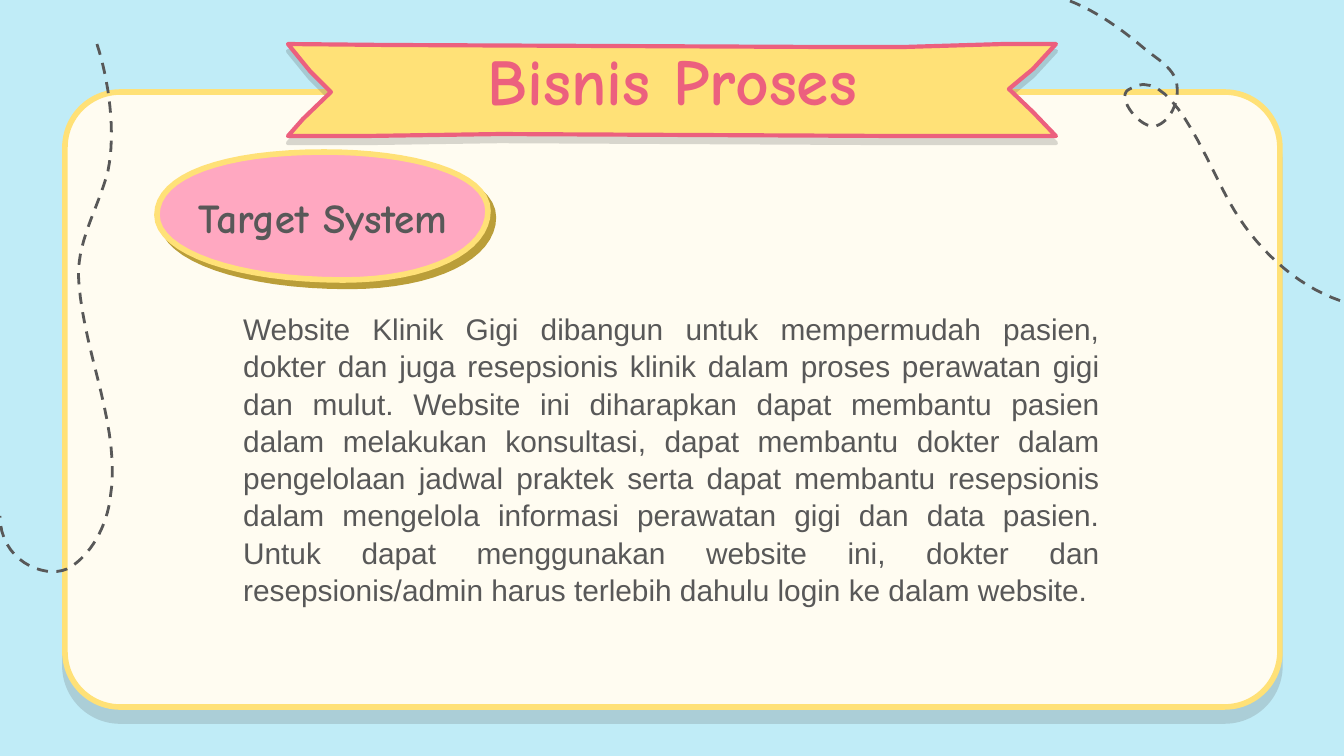
from dataclasses import dataclass
from typing import Optional

import lxml.etree
import pptx
import pptx.dml.color
import pptx.enum.dml
import pptx.enum.shapes
import pptx.enum.text
import pptx.oxml.ns
import pptx.util

WIDE, HIGH = 1344, 756
SCALE = 9144000 / WIDE
STEPS = 16
GREY, YELLOW, ROSE = "585858", "FFE177", "EC607E"
ALIGN = pptx.enum.text.PP_ALIGN
ANCHOR = pptx.enum.text.MSO_ANCHOR


@dataclass
class Shadow:
    hue: str
    alpha: int
    dist: float
    angle: int


@dataclass
class Look:
    line: str
    width: float
    fill: Optional[str] = None
    shadow: Optional[Shadow] = None
    dashed: bool = False


@dataclass
class Label:
    words: str
    box: tuple
    font: str
    size: int
    hue: str
    bold: bool = False
    align: ALIGN = ALIGN.CENTER
    anchor: ANCHOR = ANCHOR.MIDDLE
    spacing: float = 1.0


def px(value: float) -> int:
    return round(value * SCALE)


def color(text: str) -> pptx.dml.color.RGBColor:
    return pptx.dml.color.RGBColor.from_string(text)


def add_node(parent, tag: str, **attrs):
    return lxml.etree.SubElement(parent, pptx.oxml.ns.qn(tag), **attrs)


def style(shape, look: Look) -> None:
    if look.fill:
        shape.fill.solid()
        shape.fill.fore_color.rgb = color(look.fill)
    else:
        shape.fill.background()
    shape.line.color.rgb = color(look.line)
    shape.line.width = pptx.util.Pt(look.width)
    if look.dashed:
        shape.line.dash_style = pptx.enum.dml.MSO_LINE.DASH
    props = shape.element.spPr
    add_node(props.find(pptx.oxml.ns.qn("a:ln")), "a:round")
    shape.shadow.inherit = False
    if look.shadow:
        effects = props.find(pptx.oxml.ns.qn("a:effectLst"))
        outer = add_node(effects, "a:outerShdw", blurRad="0",
                         dist=str(pptx.util.Pt(look.shadow.dist)),
                         dir=str(look.shadow.angle * 60000),
                         algn="bl", rotWithShape="0")
        hue = add_node(outer, "a:srgbClr", val=look.shadow.hue)
        add_node(hue, "a:alpha", val=str(look.shadow.alpha * 1000))


def trace(start: tuple, curves: list) -> list:
    points = [start]
    for curve in curves:
        knots = (points[-1], *curve)
        for step in range(1, STEPS + 1):
            t = step / STEPS
            parts = ((1 - t) ** 3, 3 * t * (1 - t) ** 2,
                     3 * t * t * (1 - t), t ** 3)
            points.append(tuple(
                sum(part * knot[axis] for part, knot in zip(parts, knots))
                for axis in (0, 1)))
    return points


def draw_path(slide, points: list, look: Look) -> None:
    spots = [(px(x), px(y)) for x, y in points]
    pen = slide.shapes.build_freeform(*spots[0], scale=1.0)
    pen.add_line_segments(spots[1:], close=look.fill is not None)
    style(pen.convert_to_shape(), look)


def draw_card(slide, box: tuple, look: Look) -> None:
    kind = pptx.enum.shapes.MSO_SHAPE.ROUNDED_RECTANGLE
    card = slide.shapes.add_shape(kind, *map(px, box))
    card.adjustments[0] = 0.09
    style(card, look)


def draw_label(slide, label: Label) -> None:
    frame = slide.shapes.add_textbox(*map(px, label.box)).text_frame
    frame.word_wrap = True
    frame.vertical_anchor = label.anchor
    frame.margin_left = frame.margin_right = pptx.util.Inches(0.1)
    frame.margin_top = frame.margin_bottom = pptx.util.Inches(0.1)
    para = frame.paragraphs[0]
    para.text = label.words
    para.alignment = label.align
    para.line_spacing = label.spacing
    para.font.name = label.font
    para.font.size = pptx.util.Pt(label.size)
    para.font.bold = label.bold
    para.font.color.rgb = color(label.hue)


CARD = Look(YELLOW, 3, "FFFCF1", Shadow(GREY, 20, 7.5, 90))
RIBBON = Look(ROSE, 2.25, YELLOW, Shadow("404040", 20, 3.8, 90))
BUBBLE = Look(YELLOW, 3, "FFA8C1", Shadow("BA9E39", 100, 4.5, 50))
TRAIL = Look(GREY, 1.5, dashed=True)

LOOP = trace((1070, 1), [
    ((1098, 12), (1124, 31), (1146, 50)),
    ((1159, 60), (1176, 70), (1177, 86)),
    ((1179, 101), (1171, 121), (1156, 126)),
    ((1141, 130), (1116, 98), (1128, 90)),
    ((1169, 60), (1205, 159), (1230, 203)),
    ((1254, 246), (1294, 285), (1341, 301)),
    ((1357, 308), (1376, 306), (1392, 314)),
])
WAVE = trace((97, 44), [
    ((109, 81), (116, 132), (108, 171)),
    ((98, 210), (75, 243), (79, 284)),
    ((85, 358), (122, 429), (110, 500)),
    ((105, 534), (85, 560), (67, 569)),
    ((43, 579), (0, 560), (0, 516)),
])
OVAL = trace((324, 152), [
    ((225, 152), (157, 175), (157, 215)),
    ((157, 252), (238, 280), (343, 280)),
    ((430, 280), (488, 250), (488, 211)),
    ((488, 172), (410, 152), (324, 152)),
])
BANNER = [
    (288, 44), (310, 71), (331, 92), (303, 119), (288, 136), (363, 136),
    (500, 134), (904, 136), (1056, 136), (1033, 112), (1009, 89),
    (1033, 69), (1056, 44), (1003, 44), (904, 47), (825, 47), (388, 45),
]

LABELS = [
    Label("Target System", (121, 190, 403, 54), "Comic Neue", 22, GREY, True),
    Label("Bisnis Proses", (106, 46, 1133, 67), "Comic Neue", 35, ROSE, True),
    Label("Website Klinik Gigi dibangun untuk mempermudah pasien, dokter dan "
          "juga resepsionis klinik dalam proses perawatan gigi dan mulut. "
          "Website ini diharapkan dapat membantu pasien dalam melakukan "
          "konsultasi, dapat membantu dokter dalam pengelolaan jadwal praktek "
          "serta dapat membantu resepsionis dalam mengelola informasi "
          "perawatan gigi dan data pasien. Untuk dapat menggunakan website "
          "ini, dokter dan resepsionis/admin harus terlebih dahulu login ke "
          "dalam website.",
          (230, 296, 883, 331), "Arial", 16, GREY,
          align=ALIGN.JUSTIFY, anchor=ANCHOR.TOP, spacing=1.04),
]


def main() -> None:
    deck = pptx.Presentation()
    deck.slide_width, deck.slide_height = px(WIDE), px(HIGH)
    slide = deck.slides.add_slide(deck.slide_layouts[6])
    slide.background.fill.solid()
    slide.background.fill.fore_color.rgb = color("C0ECF7")
    draw_card(slide, (65, 92, 1215, 615), CARD)
    for points, look in ((LOOP, TRAIL), (BANNER, RIBBON),
                         (WAVE, TRAIL), (OVAL, BUBBLE)):
        draw_path(slide, points, look)
    for label in LABELS:
        draw_label(slide, label)
    deck.save("out.pptx")


if __name__ == "__main__":
    main()
